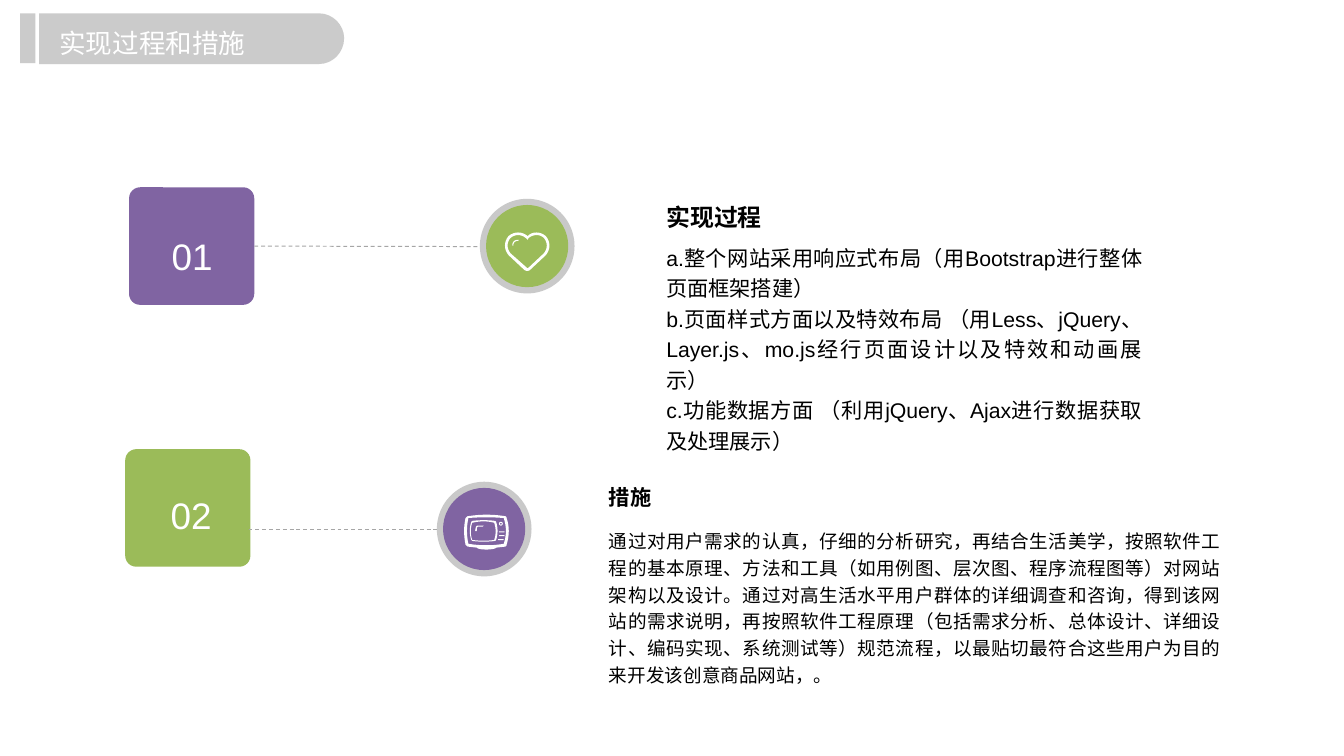
from lxml.etree import SubElement
from pptx import Presentation
from pptx.dml.color import RGBColor
from pptx.enum.dml import MSO_LINE
from pptx.enum.shapes import MSO_CONNECTOR, MSO_SHAPE
from pptx.enum.text import MSO_ANCHOR, MSO_AUTO_SIZE, PP_ALIGN
from pptx.oxml.ns import qn
from pptx.util import Inches, Pt

PURPLE, GREEN, WHITE, BLACK = "8064A2", "9BBB59", "FFFFFF", "000000"
RING, HEADER = "A6A6A6", "BFBFBF"


def paint(color_owner, color):
    color_owner.rgb = RGBColor.from_string(color)


def curve_points(start, curve, steps=8):
    x1, y1, x2, y2, x3, y3 = curve
    for step in range(1, steps + 1):
        t = step / steps
        u = 1 - t
        weights = (u ** 3, 3 * u * u * t, 3 * u * t * t, t ** 3)
        yield (sum(w * x for w, x in zip(weights, (start[0], x1, x2, x3))),
               sum(w * y for w, y in zip(weights, (start[1], y1, y2, y3))))


def outline_points(contour):
    points = [contour[0]]
    for part in contour[1:]:
        points.extend(curve_points(points[-1], part) if len(part) == 6 else [part])
    return [(Inches(x), Inches(y)) for x, y in points]


class SlideBuilder:
    """Holds the slide and its font, and draws each kind of element."""

    def __init__(self, slide, font="Arial"):
        self.slide, self.shapes, self.font = slide, slide.shapes, font

    def finish(self, shape, color, opacity=100):
        shape.shadow.inherit = False
        shape.fill.solid()
        paint(shape.fill.fore_color, color)
        shape.line.fill.background()
        if opacity < 100:
            rgb = shape.element.spPr.find(".//" + qn("a:srgbClr"))
            SubElement(rgb, qn("a:alpha")).set("val", str(opacity * 1000))
        return shape

    def shape(self, kind, box, color, opacity=100, adjust=None):
        shape = self.shapes.add_shape(kind, *map(Inches, box))
        if adjust is not None:
            shape.adjustments[0] = adjust
        return self.finish(shape, color, opacity)

    def outline(self, contours, color, opacity=100):
        first, *others = [outline_points(contour) for contour in contours]
        builder = self.shapes.build_freeform(*first[0], scale=1.0)
        builder.add_line_segments(first[1:], close=True)
        for points in others:
            builder.move_to(*points[0])
            builder.add_line_segments(points[1:], close=True)
        return self.finish(builder.convert_to_shape(), color, opacity)

    def dashed_line(self, x1, x2, y, card=None):
        line = self.shapes.add_connector(
            MSO_CONNECTOR.STRAIGHT, *map(Inches, (x1, y, x2, y)))
        if card is not None:
            line.begin_connect(card, 3)
        paint(line.line.color, RING)
        line.line.width = Pt(0.75)
        line.line.dash_style = MSO_LINE.DASH
        SubElement(line.element.spPr, qn("a:effectLst"))

    def set_text(self, shape, text, size, color, align, bold=False, inset=(0, 0)):
        frame = shape.text_frame
        frame.text = text
        frame.word_wrap = True
        frame.auto_size = MSO_AUTO_SIZE.NONE
        frame.vertical_anchor = MSO_ANCHOR.TOP
        frame.margin_left = frame.margin_right = Inches(inset[0])
        frame.margin_top = frame.margin_bottom = Inches(inset[1])
        for paragraph in frame.paragraphs:
            paragraph.alignment = align
            paragraph.line_spacing = 1.2
            paragraph.space_before = paragraph.space_after = Pt(0)
            for run in paragraph.runs:
                run.font.name, run.font.size, run.font.bold = self.font, Pt(size), bold
                paint(run.font.color, color)

    def label(self, box, text, size, color):
        self.set_text(self.shapes.add_textbox(*map(Inches, box)), text, size, color,
                      PP_ALIGN.CENTER, inset=(0.1, 0.05))

    def placeholder(self, index, box, text, size, color=BLACK,
                    align=PP_ALIGN.JUSTIFY, bold=False, inset=(0, 0)):
        holder = self.slide.placeholders[index]
        holder.left, holder.top, holder.width, holder.height = map(Inches, box)
        self.set_text(holder, text, size, color, align, bold, inset)
        for paragraph in holder.text_frame.paragraphs:
            properties = paragraph._p.get_or_add_pPr()
            properties.set("marL", "0")
            properties.set("indent", "0")
            SubElement(properties, qn("a:buNone"))
        return holder

    def badge(self, left, top, color):
        self.shape(MSO_SHAPE.OVAL, (left, top, 0.99, 0.99), RING, 60)
        self.shape(MSO_SHAPE.OVAL, (left + 0.065, top + 0.065, 0.86, 0.86), color)


HEART = [
    [(5.71, 2.47), (5.65, 2.42, 5.57, 2.42, 5.52, 2.47),
     (5.46, 2.42, 5.38, 2.42, 5.32, 2.47), (5.27, 2.53, 5.27, 2.61, 5.32, 2.67),
     (5.48, 2.82), (5.5, 2.84, 5.53, 2.84, 5.55, 2.82), (5.71, 2.67),
     (5.76, 2.61, 5.76, 2.53, 5.71, 2.47)],
    [(5.69, 2.65), (5.53, 2.8), (5.52, 2.81, 5.51, 2.81, 5.51, 2.8), (5.34, 2.65),
     (5.3, 2.6, 5.3, 2.54, 5.34, 2.49), (5.39, 2.45, 5.45, 2.45, 5.5, 2.49),
     (5.52, 2.51), (5.53, 2.49), (5.58, 2.45, 5.65, 2.45, 5.69, 2.49),
     (5.73, 2.54, 5.73, 2.6, 5.69, 2.65)]]
HEART_GLINT = [
    [(5.42, 2.51), (5.38, 2.51, 5.36, 2.53, 5.36, 2.57), (5.37, 2.57),
     (5.37, 2.54, 5.39, 2.52, 5.42, 2.52), (5.43, 2.51)]]
TV_CASE = [
    [(5.3, 5.42), (5.3, 5.41, 5.29, 5.4, 5.28, 5.4),
     (5.15, 5.38, 5.03, 5.38, 4.9, 5.4), (4.89, 5.4, 4.88, 5.41, 4.87, 5.42),
     (4.85, 5.51, 4.85, 5.6, 4.87, 5.7), (4.88, 5.71, 4.89, 5.72, 4.9, 5.72),
     (4.99, 5.73), (4.99, 5.74, 5.03, 5.75, 5.09, 5.75),
     (5.14, 5.75, 5.19, 5.74, 5.19, 5.73), (5.28, 5.72),
     (5.29, 5.72, 5.3, 5.71, 5.3, 5.7), (5.33, 5.6, 5.33, 5.51, 5.3, 5.42)],
    [(5.27, 5.69), (5.15, 5.71, 5.03, 5.71, 4.9, 5.69),
     (4.88, 5.6, 4.88, 5.51, 4.9, 5.42), (5.03, 5.41, 5.15, 5.41, 5.27, 5.42),
     (5.3, 5.51, 5.3, 5.6, 5.27, 5.69)]]
TV_SCREEN = [
    [(5.18, 5.45), (5.1, 5.44, 5.02, 5.44, 4.94, 5.45), (4.93, 5.46),
     (4.91, 5.52, 4.91, 5.59, 4.93, 5.65), (4.94, 5.66),
     (5.02, 5.67, 5.1, 5.67, 5.18, 5.66), (5.19, 5.65),
     (5.21, 5.59, 5.21, 5.52, 5.19, 5.46)],
    [(5.17, 5.65), (5.1, 5.66, 5.02, 5.66, 4.94, 5.65),
     (4.92, 5.59, 4.92, 5.53, 4.94, 5.47), (5.02, 5.45, 5.1, 5.45, 5.17, 5.47),
     (5.19, 5.53, 5.19, 5.59, 5.17, 5.65)]]
TV_GLINT = [
    [(5.05, 5.5), (4.99, 5.5), (4.98, 5.51), (4.97, 5.55), (4.98, 5.56),
     (4.99, 5.55), (4.99, 5.52), (5, 5.51), (5.05, 5.51), (5.06, 5.5)]]
HEADER_TAB = [
    [(0.41, 0.67), (0.41, 0.14), (3.34, 0.14), (3.48, 0.14, 3.6, 0.26, 3.6, 0.4),
     (3.6, 0.55, 3.48, 0.67, 3.34, 0.67)]]

PROCESS = [
    "a.整个网站采用响应式布局（用Bootstrap进行整体页面框架搭建）",
    "b.页面样式方面以及特效布局 （用Less、jQuery、Layer.js、mo.js经行页面设计以及特效和动画展示）",
    "c.功能数据方面 （利用jQuery、Ajax进行数据获取及处理展示）"]
MEASURES = (
    "通过对用户需求的认真，仔细的分析研究，再结合生活美学，按照软件工程的基本原理、方法和工具"
    "（如用例图、层次图、程序流程图等）对网站架构以及设计。通过对高生活水平用户群体的详细调查和咨询，"
    "得到该网站的需求说明，再按照软件工程原理（包括需求分析、总体设计、详细设计、编码实现、系统测试等）"
    "规范流程，以最贴切最符合这些用户为目的来开发该创意商品网站，。")


def main():
    deck = Presentation()
    deck.slide_width, deck.slide_height = Inches(14.06), Inches(7.91)
    page = SlideBuilder(deck.slides.add_slide(deck.slide_layouts[4]))

    cards = []
    for number, left, top, color, label_box in (
            ("01", 1.35, 1.96, PURPLE, (1.59, 2.3, 0.84, 0.56)),
            ("02", 1.31, 4.7, GREEN, (1.58, 5.01, 0.84, 0.56))):
        cards.append(page.shape(MSO_SHAPE.ROUNDED_RECTANGLE,
                                (left, top, 1.31, 1.23), color, adjust=0.094))
        page.label(label_box, number, 27.8, WHITE)
    page.dashed_line(2.66, 5.02, 2.58, cards[0])
    page.dashed_line(2.6, 4.57, 5.54)
    page.badge(5.02, 2.08, GREEN)
    page.badge(4.57, 5.04, PURPLE)

    for icon in (HEART, HEART_GLINT, TV_CASE, TV_SCREEN, TV_GLINT):
        page.outline(icon, WHITE)
    page.shape(MSO_SHAPE.DONUT, (5.22, 5.46, 0.04, 0.04), WHITE)
    for left, top in ((5.22, 5.56), (5.22, 5.6), (5.21, 5.64)):
        page.shape(MSO_SHAPE.ROUNDED_RECTANGLE, (left, top, 0.06, 0.01), WHITE, adjust=0.5)

    page.placeholder(1, (6.97, 2.06, 1.93, 0.3), "实现过程", 18, bold=True)
    page.placeholder(2, (6.97, 2.51, 4.98, 2.18), "\n".join(PROCESS), 16)
    page.placeholder(3, (6.37, 5.01, 1.93, 0.27), "措施", 16, bold=True)
    page.placeholder(4, (6.37, 5.5, 6.4, 1.63), MEASURES, 14)

    page.outline(HEADER_TAB, HEADER, 80)
    page.shape(MSO_SHAPE.RECTANGLE, (0.21, 0.14, 0.16, 0.52), HEADER, 80)
    title = page.placeholder(0, (0.54, 0.18, 3.11, 0.41), "实现过程和措施", 20, WHITE,
                             PP_ALIGN.LEFT, inset=(0.08, 0.04))
    page.shapes.element.append(title.element)
    deck.save("out.pptx")


if __name__ == "__main__":
    main()
